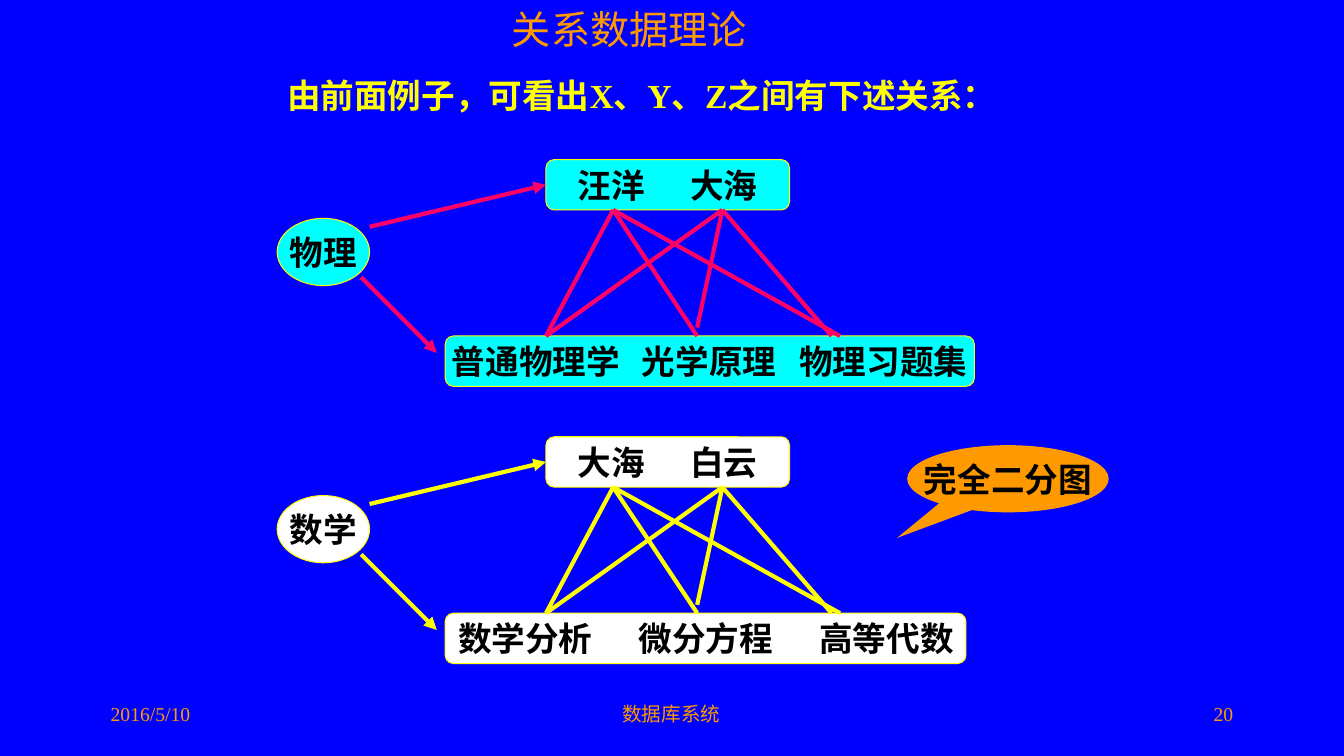
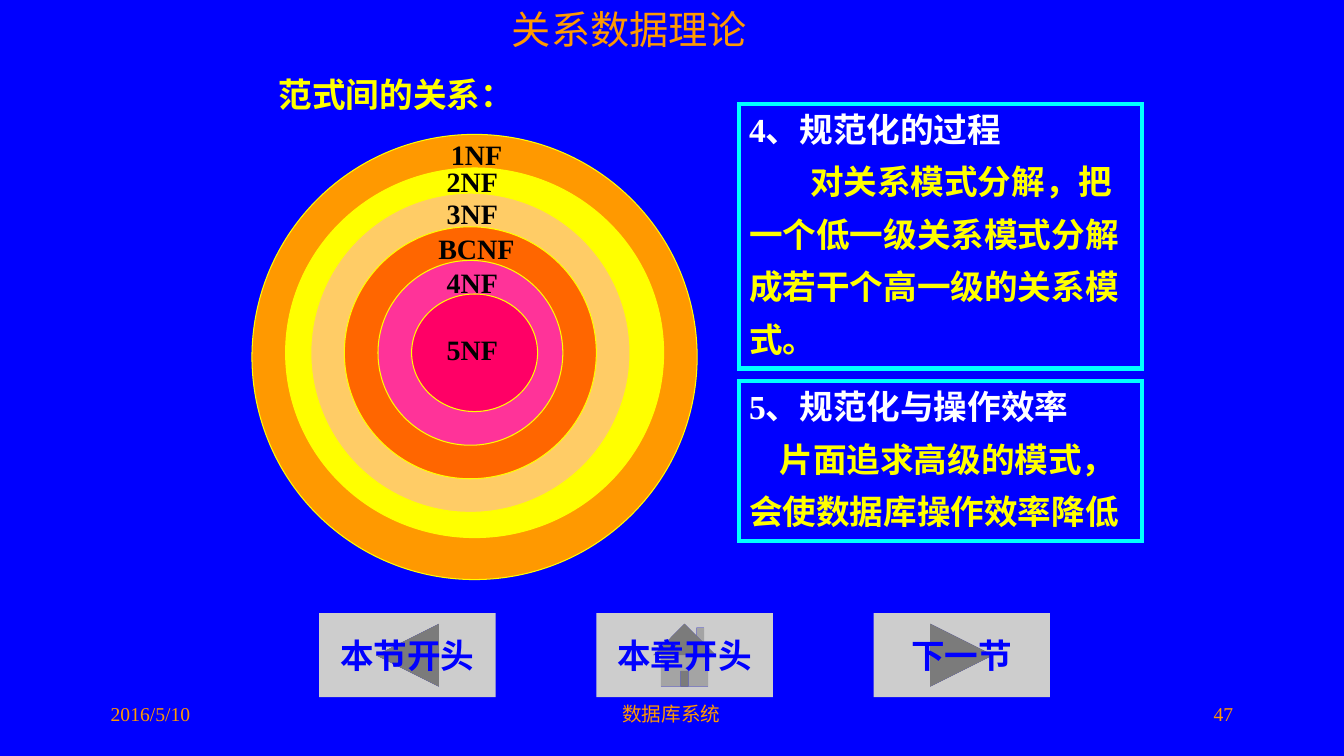
"""Build two slides on relational data theory: a bipartite graph and nested normal forms."""
from dataclasses import dataclass

from lxml import etree
from pptx import Presentation
from pptx import util as u
from pptx.dml.color import RGBColor
from pptx.enum import shapes, text
from pptx.oxml import ns

EMU_PER_PX = 9525
FONT = "Times New Roman"
BLUE = RGBColor(0x00, 0x00, 0xFF)
ORANGE = RGBColor(0xFF, 0x99, 0x00)
YELLOW = RGBColor(0xFF, 0xFF, 0x00)
CYAN = RGBColor(0x00, 0xFF, 0xFF)
WHITE = RGBColor(0xFF, 0xFF, 0xFF)
BLACK = RGBColor(0x00, 0x00, 0x00)
CRIMSON = RGBColor(0xFF, 0x00, 0x66)
PINK = RGBColor(0xFF, 0x33, 0x99)
DEEP_ORANGE = RGBColor(0xFF, 0x66, 0x00)
SAND = RGBColor(0xFF, 0xCC, 0x66)
GREY = RGBColor(0xCD, 0xCD, 0xCD)

SHAPE = shapes.MSO_SHAPE
ALIGN = text.PP_ALIGN
ANCHOR = text.MSO_ANCHOR


@dataclass(frozen=True)
class Box:
    left: int
    top: int
    width: int
    height: int

    def lengths(self) -> list[int]:
        return [px(n) for n in (self.left, self.top, self.width, self.height)]


@dataclass(frozen=True)
class WordRow:
    words: tuple[str, ...]
    width: int
    inset: int
    stops: tuple[int, ...]


@dataclass(frozen=True)
class Graph:
    top: int
    course: str
    teachers: WordRow
    books: WordRow
    fill: RGBColor
    line: RGBColor


@dataclass(frozen=True)
class Ring:
    name: str
    box: Box
    fill: RGBColor
    label_left: int
    label_top: int


@dataclass(frozen=True)
class Panel:
    box: Box
    heading: str
    body: str
    indent: int


@dataclass(frozen=True)
class Button:
    label: str
    kind: SHAPE


GRAPHS = (
    Graph(152, "物理", WordRow(("汪洋", "大海"), 232, 28, (107,)),
          WordRow(("普通物理学", "光学原理", "物理习题集"), 504, 4, (181, 331)), CYAN, CRIMSON),
    Graph(416, "数学", WordRow(("大海", "白云"), 232, 28, (107,)),
          WordRow(("数学分析", "微分方程", "高等代数"), 496, 10, (172, 344)), WHITE, YELLOW),
)
ARROWS = ((352, 64, 520, 24), (344, 112, 416, 184))
EDGES = (
    (584, 48, 520, 168), (584, 48, 664, 168), (584, 48, 800, 168),
    (688, 48, 520, 168), (688, 48, 664, 160), (688, 48, 792, 168),
)
RINGS = (
    Ring("1NF", Box(240, 128, 424, 424), ORANGE, 420, 126),
    Ring("2NF", Box(272, 160, 360, 352), YELLOW, 416, 152),
    Ring("3NF", Box(296, 184, 304, 304), SAND, 416, 182),
    Ring("BCNF", Box(328, 216, 240, 240), DEEP_ORANGE, 408, 216),
    Ring("4NF", Box(360, 248, 176, 176), PINK, 416, 248),
    Ring("5NF", Box(392, 280, 120, 112), CRIMSON, 416, 312),
)
PANELS = (
    Panel(Box(704, 99, 384, 252), "4、规范化的过程",
          "对关系模式分解，把一个低一级关系模式分解成若干个高一级的关系模式。", 58),
    Panel(Box(704, 363, 384, 152), "5、规范化与操作效率",
          "片面追求高级的模式，会使数据库操作效率降低", 29),
)
BUTTONS = (
    Button("本节开头", SHAPE.ACTION_BUTTON_BACK_OR_PREVIOUS),
    Button("本章开头", SHAPE.ACTION_BUTTON_HOME),
    Button("下一节", SHAPE.ACTION_BUTTON_FORWARD_OR_NEXT),
)


def px(count: int) -> int:
    return u.Emu(count * EMU_PER_PX)


def write(paragraph, words: str, *, size: int = 24, color: RGBColor = BLACK,
          bold: bool = True, align=ALIGN.LEFT, spacing: float | None = None,
          indent: int = 0) -> None:
    paragraph.alignment = align
    if spacing:
        paragraph.line_spacing = spacing
    if indent:
        paragraph._p.get_or_add_pPr().set("indent", str(px(indent)))
    run = paragraph.add_run()
    run.text = words
    run.font.name = FONT
    run.font.size = u.Pt(size)
    run.font.bold = bold
    run.font.color.rgb = color


def add_label(slide, box: Box, words: str, *, wrap: bool = False, **style) -> None:
    shape = slide.shapes.add_textbox(*box.lengths())
    shape.text_frame.word_wrap = wrap
    write(shape.text_frame.paragraphs[0], words, **style)


def add_figure(slide, kind, box: Box, *, fill: RGBColor | None = None,
               line: RGBColor | None = None, weight: float = 0.75,
               words: str = "", color: RGBColor = BLACK):
    shape = slide.shapes.add_shape(kind, *box.lengths())
    shape.shadow.inherit = False
    if fill is None:
        shape.fill.background()
    else:
        shape.fill.solid()
        shape.fill.fore_color.rgb = fill
    if line is None:
        shape.line.fill.background()
    else:
        shape.line.color.rgb = line
        shape.line.width = u.Pt(weight)
    if words:
        shape.text_frame.word_wrap = False
        shape.text_frame.vertical_anchor = ANCHOR.MIDDLE
        write(shape.text_frame.paragraphs[0], words, color=color, align=ALIGN.CENTER)
    return shape


def add_word_row(slide, left: int, top: int, row: WordRow, fill: RGBColor) -> None:
    shape = add_figure(slide, SHAPE.ROUNDED_RECTANGLE, Box(left, top, row.width, 48),
                       fill=fill, line=YELLOW)
    frame = shape.text_frame
    frame.word_wrap = True
    frame.vertical_anchor = ANCHOR.MIDDLE
    frame.margin_left, frame.margin_right = px(row.inset), 0
    paragraph = frame.paragraphs[0]
    write(paragraph, "\t".join(row.words))
    tabs = etree.SubElement(paragraph._p.get_or_add_pPr(), ns.qn("a:tabLst"))
    for stop in row.stops:
        etree.SubElement(tabs, ns.qn("a:tab"), pos=str(px(stop)), algn="l")


def add_line(slide, ends: tuple[int, ...], top: int, color: RGBColor,
             arrow: bool = False) -> None:
    x1, y1, x2, y2 = ends
    line = slide.shapes.add_connector(shapes.MSO_CONNECTOR.STRAIGHT, px(x1), px(top + y1),
                                      px(x2), px(top + y2))
    line.line.color.rgb = color
    line.line.width = u.Pt(3)
    if arrow:
        etree.SubElement(line.line._get_or_add_ln(), ns.qn("a:tailEnd"), type="triangle")
    etree.SubElement(line._element.spPr, ns.qn("a:effectLst"))


def add_graph(slide, graph: Graph) -> None:
    add_figure(slide, SHAPE.OVAL, Box(264, graph.top + 56, 88, 64),
               fill=graph.fill, line=YELLOW, words=graph.course)
    add_word_row(slide, 520, graph.top, graph.teachers, graph.fill)
    add_word_row(slide, 424, graph.top + 168, graph.books, graph.fill)
    for ends in ARROWS:
        add_line(slide, ends, graph.top, graph.line, arrow=True)
    for ends in EDGES:
        add_line(slide, ends, graph.top, graph.line)


def add_ring(slide, ring: Ring) -> None:
    add_figure(slide, SHAPE.OVAL, ring.box, fill=ring.fill, line=YELLOW)
    width = 92 if len(ring.name) > 3 else 68
    add_label(slide, Box(ring.label_left, ring.label_top, width, 41), ring.name, size=20)


def add_panel(slide, panel: Panel) -> None:
    shape = add_figure(slide, SHAPE.RECTANGLE, panel.box, line=CYAN, weight=3)
    etree.SubElement(shape.line._get_or_add_ln(), ns.qn("a:miter"), lim="800000")
    frame = shape.text_frame
    frame.word_wrap = True
    frame.vertical_anchor = ANCHOR.TOP
    write(frame.paragraphs[0], panel.heading, color=WHITE)
    write(frame.add_paragraph(), panel.body, color=YELLOW, spacing=1.3, indent=panel.indent)


def add_page(presentation, number: int):
    slide = presentation.slides.add_slide(presentation.slide_layouts[5])
    title = slide.shapes.title
    title.left, title.top, title.width, title.height = Box(478, 0, 246, 55).lengths()
    frame = title.text_frame
    frame.auto_size = text.MSO_AUTO_SIZE.NONE
    frame.word_wrap = False
    frame.vertical_anchor = ANCHOR.TOP
    write(frame.paragraphs[0], "关系数据理论", size=28, color=ORANGE, bold=False)
    footers = (
        (96, 267, "2016/5/10", ALIGN.LEFT),
        (437, 405, "数据库系统", ALIGN.CENTER),
        (917, 267, str(number), ALIGN.RIGHT),
    )
    for left, width, words, align in footers:
        add_label(slide, Box(left, 664, width, 40), words, wrap=True,
                  size=14, color=ORANGE, bold=False, align=align)
    return slide


def build_graph_slide(presentation) -> None:
    slide = add_page(presentation, 20)
    add_label(slide, Box(264, 67, 705, 48), "由前面例子，可看出X、Y、Z之间有下述关系：",
              wrap=True, color=YELLOW)
    for graph in GRAPHS:
        add_graph(slide, graph)
    callout = add_figure(slide, SHAPE.OVAL_CALLOUT, Box(864, 424, 192, 64),
                         fill=ORANGE, words="完全二分图")
    callout.adjustments[0], callout.adjustments[1] = -0.55, 0.88


def build_normal_form_slide(presentation) -> None:
    slide = add_page(presentation, 47)
    add_label(slide, Box(256, 66, 247, 48), "范式间的关系：", color=YELLOW)
    for ring in RINGS:
        add_ring(slide, ring)
    for panel in PANELS:
        add_panel(slide, panel)
    for index, button in enumerate(BUTTONS):
        add_figure(slide, button.kind, Box(304 + 264 * index, 584, 168, 80),
                   fill=GREY, words=button.label, color=BLUE)


def main() -> None:
    presentation = Presentation()
    presentation.slide_width, presentation.slide_height = px(1280), px(720)
    background = presentation.slide_master.background.fill
    background.solid()
    background.fore_color.rgb = BLUE
    build_graph_slide(presentation)
    build_normal_form_slide(presentation)
    presentation.save("out.pptx")


if __name__ == "__main__":
    main()
